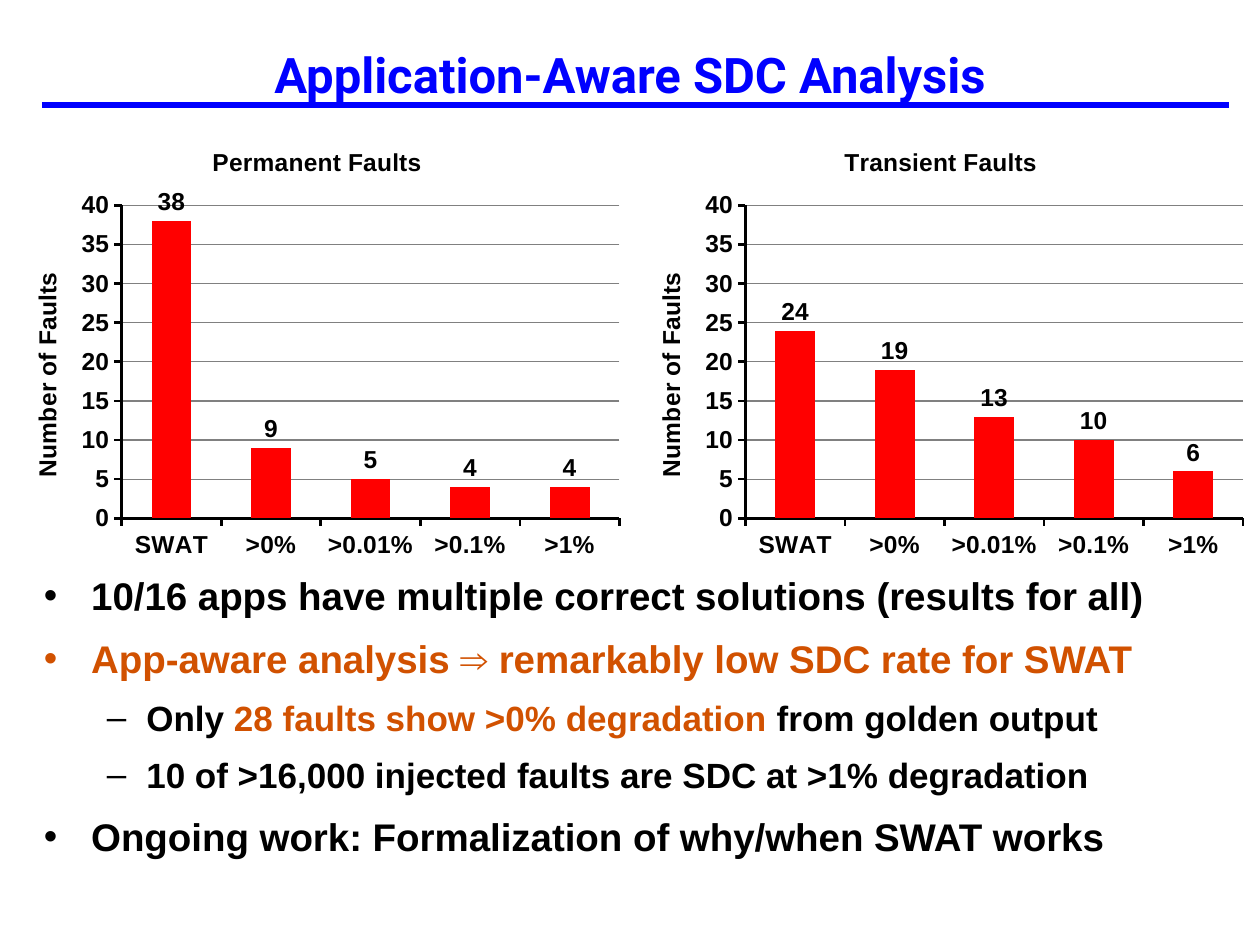
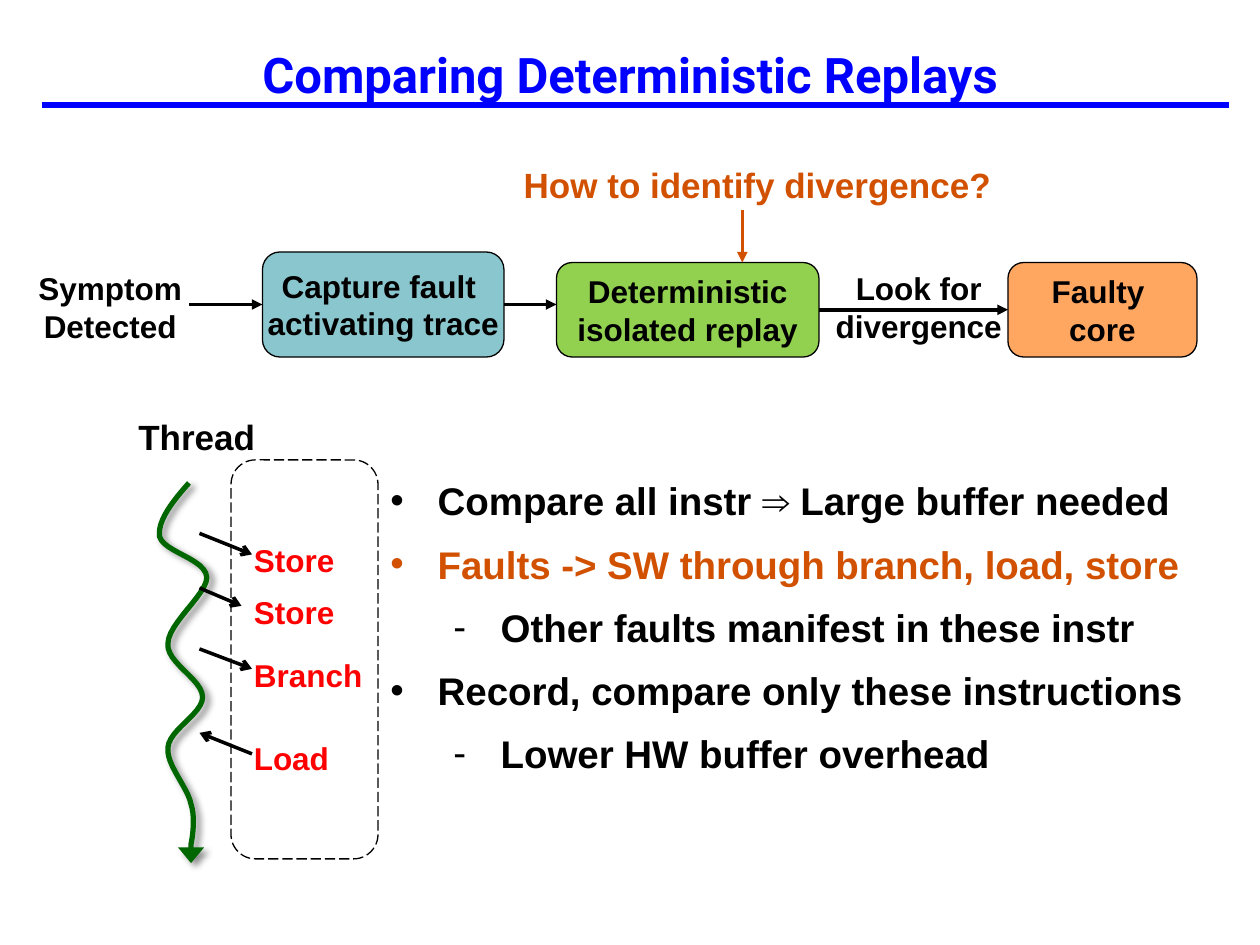
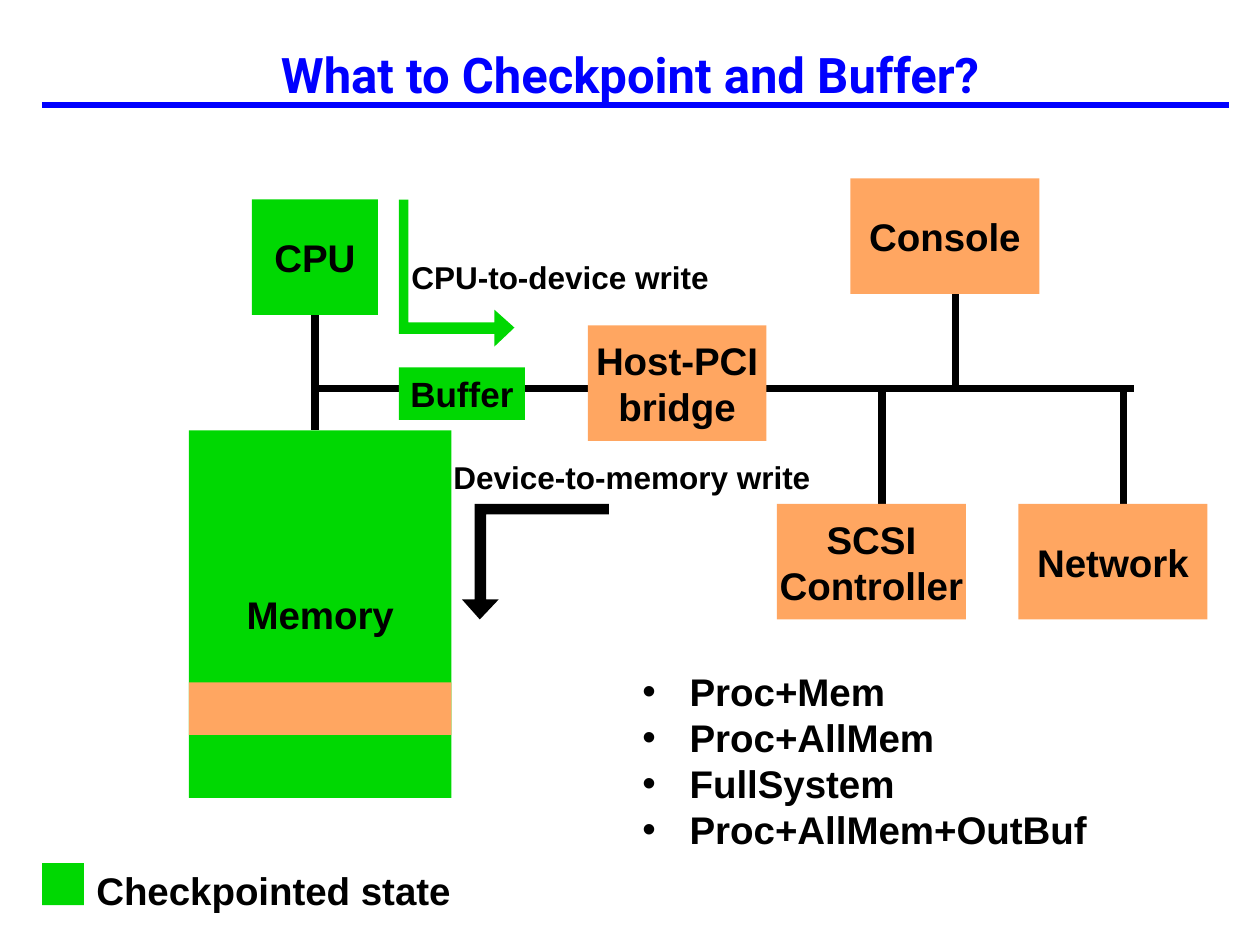
from dataclasses import dataclass

from lxml.etree import SubElement
from pptx import Presentation
from pptx.chart.data import CategoryChartData
from pptx.dml.color import RGBColor
from pptx.enum.chart import XL_CHART_TYPE, XL_LABEL_POSITION, XL_TICK_MARK
from pptx.enum.dml import MSO_LINE
from pptx.enum.shapes import MSO_CONNECTOR, MSO_SHAPE
from pptx.enum.text import MSO_ANCHOR, MSO_AUTO_SIZE, PP_ALIGN
from pptx.oxml import parse_xml
from pptx.oxml.ns import nsdecls, qn
from pptx.util import Inches, Pt


@dataclass(frozen=True)
class Theme:
    font: str = "Arial"
    title_font: str = "Roboto"
    black: str = "000000"
    blue: str = "0000FF"
    accent: str = "D15100"
    red: str = "FF0000"
    grid: str = "808080"
    teal: str = "8AC6CD"
    lime: str = "92D050"
    orange: str = "FFA661"
    green: str = "00D802"
    thread: str = "006600"
    title: int = 28
    body: int = 22
    sub: int = 20
    label: int = 18
    chart: int = 14


T = Theme()
COLUMNS, ROWS = 120, 90  # twelve cells to the inch
CELL = Inches(10) / COLUMNS

BULLET = ("•", 4.5, 4.5)
DASH = ("–", 9.75, 3.75)
HYPHEN = ("-", 10.5, 4.5)


def grid(*cells):
    return [round(c * CELL) for c in cells]


def set_attrs(obj, values):
    for name, value in values.items():
        setattr(obj, name, value)


def set_font(font, size, color=T.black, name=T.font):
    set_attrs(font, dict(size=Pt(size), name=name, bold=True))
    font.color.rgb = RGBColor.from_string(color)


def set_line(line, color, width):
    line.color.rgb = RGBColor.from_string(color)
    line.width = Pt(width)


def add_end(sp, kind, width="med"):
    SubElement(sp._element.spPr.find(qn("a:ln")), qn("a:tailEnd"), type=kind, w=width)


def set_bullet(p, bullet):
    char, left, hanging = bullet
    pPr = p._p.get_or_add_pPr()
    pPr.set("marL", str(grid(left)[0]))
    pPr.set("indent", str(-grid(hanging)[0]))
    SubElement(pPr, qn("a:buFont"), typeface=T.font)
    SubElement(pPr, qn("a:buChar"), char=char)


def add_runs(p, runs, size, color=T.black, name=T.font):
    """Fill a paragraph from a string or from (text, color) pairs."""
    for text, run_color in [(runs, color)] if isinstance(runs, str) else runs:
        r = p.add_run()
        r.text = text
        set_font(r.font, size, run_color, name)


def paragraphs(tf, count):
    return [tf.paragraphs[0]] + [tf.add_paragraph() for _ in range(count - 1)]


def add_label(s, box, lines, size, color=T.black, align=PP_ALIGN.LEFT, wrap=False):
    tf = s.shapes.add_textbox(*grid(*box)).text_frame
    set_attrs(tf, dict(word_wrap=wrap, auto_size=MSO_AUTO_SIZE.SHAPE_TO_FIT_TEXT))
    for p, line in zip(paragraphs(tf, len(lines)), lines):
        p.alignment = align
        add_runs(p, line, size, color)
    return tf


def add_bullets(s, box, items):
    """Add spaced bullets from (runs, bullet, size) items."""
    tf = s.shapes.add_textbox(*grid(*box)).text_frame
    tf.word_wrap = True
    for p, (runs, bullet, size) in zip(paragraphs(tf, len(items)), items):
        set_attrs(p, dict(line_spacing=1.2, space_before=Pt(size / 5)))
        set_bullet(p, bullet)
        add_runs(p, runs, size)


def add_box(s, box, fill=None, lines=(), size=T.body, kind=MSO_SHAPE.RECTANGLE, outline=None):
    sp = s.shapes.add_shape(kind, *grid(*box))
    sp.shadow.inherit = False
    if fill:
        sp.fill.solid()
        sp.fill.fore_color.rgb = RGBColor.from_string(fill)
    else:
        sp.fill.background()
    if outline:
        set_line(sp.line, outline, 0.75)
    else:
        sp.line.fill.background()
    tf = sp.text_frame
    set_attrs(tf, dict(word_wrap=False, vertical_anchor=MSO_ANCHOR.MIDDLE))
    if lines:
        for p, line in zip(paragraphs(tf, len(lines)), lines):
            p.alignment = PP_ALIGN.CENTER
            add_runs(p, line, size)
    return sp


def add_line(s, start, end, color=T.black, width=2.0, tail=None, begin=None, finish=None):
    """Draw a straight line; begin and finish are (shape, site) joints."""
    cxn = s.shapes.add_connector(MSO_CONNECTOR.STRAIGHT, *grid(*start, *end))
    set_line(cxn.line, color, width)
    SubElement(cxn._element.spPr, qn("a:effectLst"))
    if tail:
        add_end(cxn, tail)
    if begin:
        cxn.begin_connect(*begin)
    if finish:
        cxn.end_connect(*finish)


def add_outline(s, points, close):
    start, *rest = [grid(*pt) for pt in points]
    builder = s.shapes.build_freeform(*start)
    builder.add_line_segments(rest, close=close)
    sp = builder.convert_to_shape()
    sp.shadow.inherit = False
    return sp


def add_bent_arrow(s, points, color):
    sp = add_outline(s, points, True)
    sp.fill.solid()
    sp.fill.fore_color.rgb = RGBColor.from_string(color)
    sp.line.fill.background()


def curve_points(start, curves, steps=12):
    """Sample a chain of cubic curves, each (control, control, end)."""
    points = [start]
    for c1, c2, end in curves:
        first = points[-1]
        for i in range(1, steps + 1):
            t = i / steps
            u = 1 - t
            points.append([
                u**3 * a + 3 * u * u * t * b + 3 * u * t * t * c + t**3 * d
                for a, b, c, d in zip(first, c1, c2, end)
            ])
    return points


def add_thread(s):
    curves = [
        ((16.4, 47.8), (15, 49.6), (15.2, 51.1)),
        ((15.6, 52.6), (19.6, 53.2), (19.7, 55)),
        ((19.7, 56.6), (16, 59.4), (16, 61.3)),
        ((15.8, 63.1), (19.3, 64.7), (19.3, 66.4)),
        ((19.3, 68), (16.1, 69.5), (16, 71.2)),
        ((15.8, 72.8), (17.9, 75), (18.2, 76.6)),
        ((18.7, 78.1), (18.2, 80.4), (18.2, 80.4)),
    ]
    sp = add_outline(s, curve_points((18, 46), curves) + [(18.2, 82.2)], False)
    sp.fill.background()
    set_line(sp.line, T.thread, 3)
    add_end(sp, "triangle", "lg")
    effects = sp._element.spPr.find(qn("a:effectLst"))
    shadow = SubElement(effects, qn("a:outerShdw"), blurRad=str(Pt(4)),
                        dist=str(Pt(3)), dir="2700000", rotWithShape="0")
    color = SubElement(shadow, qn("a:srgbClr"), val=T.black)
    SubElement(color, qn("a:alpha"), val="43000")


def set_plot_area(chart, **shares):
    """Fix the inner plot area as shares of the chart's size."""
    plot_area = chart._chartSpace.chart.plotArea
    for old in plot_area.findall(qn("c:layout")):
        plot_area.remove(old)
    values = "".join(f'<c:{k} val="{v}"/>' for k, v in shares.items())
    plot_area.insert(0, parse_xml(
        f'<c:layout {nsdecls("c")}><c:manualLayout><c:layoutTarget val="inner"/>'
        f'<c:xMode val="edge"/><c:yMode val="edge"/>{values}</c:manualLayout></c:layout>'))


def add_fault_chart(s, left, title, values):
    data = CategoryChartData()
    data.categories = ["SWAT", ">0%", ">0.01%", ">0.1%", ">1%"]
    data.add_series("Series 1", values)
    chart = s.shapes.add_chart(
        XL_CHART_TYPE.COLUMN_CLUSTERED, *grid(left, 12, 60, 42), data).chart
    chart.has_legend = False
    set_font(chart.font, T.chart)
    axis, cats = chart.value_axis, chart.category_axis
    for tf, text in ((chart.chart_title.text_frame, title),
                     (axis.axis_title.text_frame, "Number of Faults")):
        add_runs(tf.paragraphs[0], text, T.chart)
    chart.chart_title.include_in_layout = False
    set_attrs(axis, dict(minimum_scale=0, maximum_scale=40, major_unit=5,
                         has_major_gridlines=True))
    set_line(axis.major_gridlines.format.line, T.grid, 0.75)
    for ax in (axis, cats):
        ax.major_tick_mark = XL_TICK_MARK.OUTSIDE
        set_line(ax.format.line, T.black, 1.5)
    plot = chart.plots[0]
    set_attrs(plot, dict(gap_width=150, vary_by_categories=False, has_data_labels=True))
    set_attrs(plot.data_labels, dict(show_value=True, position=XL_LABEL_POSITION.OUTSIDE_END))
    set_font(plot.data_labels.font, T.chart)
    fill = plot.series[0].format.fill
    fill.solid()
    fill.fore_color.rgb = RGBColor.from_string(T.red)
    set_plot_area(chart, x=0.19, y=0.18, w=0.79, h=0.71)


def new_slide(prs, title):
    s = prs.slides.add_slide(prs.slide_layouts[6])
    add_line(s, (4, 10), (117, 10), T.blue, 3)
    tf = s.shapes.add_textbox(*grid(0, 2, COLUMNS, 10)).text_frame
    set_attrs(tf, dict(word_wrap=True, vertical_anchor=MSO_ANCHOR.MIDDLE))
    p = tf.paragraphs[0]
    p.alignment = PP_ALIGN.CENTER
    add_runs(p, title, T.title, T.blue, T.title_font)
    return s


def sdc_slide(prs):
    s = new_slide(prs, "Application-Aware SDC Analysis")
    add_bullets(s, (3, 53, 116, 35), [
        ("10/16 apps have multiple correct solutions (results for all)", BULLET, T.body),
        ([("App-aware analysis ⇒ remarkably low SDC rate for SWAT", T.accent)], BULLET, T.body),
        ([("Only ", T.black), ("28 faults show >0% degradation ", T.accent),
          ("from golden output", T.black)], DASH, T.sub),
        ("10 of >16,000 injected faults are SDC at >1% degradation", DASH, T.sub),
        ("Ongoing work: Formalization of why/when SWAT works", BULLET, T.body),
    ])
    add_fault_chart(s, 0.2, "Permanent Faults", (38, 9, 5, 4, 4))
    add_fault_chart(s, 59.6, "Transient Faults", (24, 19, 13, 10, 6))


def replay_slide(prs):
    s = new_slide(prs, "Comparing Deterministic Replays")
    add_bullets(s, (36, 44, 82, 40), [
        ("Compare all instr ⇒ Large buffer needed", BULLET, T.body),
        ([("Faults -> SW through branch, load, store", T.accent)], BULLET, T.body),
        ("Other faults manifest in these instr", HYPHEN, T.body),
        ("Record, compare only these instructions", BULLET, T.body),
        ("Lower HW buffer overhead", HYPHEN, T.body),
    ])
    capture, replay, core = [
        add_box(s, box, fill, lines, T.label, MSO_SHAPE.FLOWCHART_ALTERNATE_PROCESS, T.black)
        for box, fill, lines in (
            ((25, 24, 23, 10), T.teal, ("Capture fault ", "activating trace")),
            ((53, 25, 25, 9), T.lime, ("Deterministic", "isolated replay")),
            ((96, 25, 18, 9), T.orange, ("Faulty ", "core")),
        )
    ]
    add_line(s, (18, 29), (25, 29), tail="triangle", finish=(capture, 1))
    add_line(s, (48, 29), (53, 29), tail="triangle", begin=(capture, 3))
    add_line(s, (78, 29.5), (96, 29.5), tail="triangle", begin=(replay, 3), finish=(core, 1))
    for left, lines in ((77, ["Look for divergence"]), (0, ["Symptom", "Detected"])):
        add_label(s, (left, 25, 21, 8.5), lines, T.label, align=PP_ALIGN.CENTER, wrap=True)

    add_thread(s)
    add_label(s, (12, 39, 13.7, 5.3), ["Thread"], T.sub)
    for start, end in (((19, 50.8), (24, 52.8)), ((19, 56), (23, 57.7)),
                       ((19, 61.8), (24, 63.7)), ((24, 71.8), (19, 69.8))):
        add_line(s, start, end, tail="arrow")
    frame = add_box(s, (22, 43.8, 14, 38), kind=MSO_SHAPE.ROUNDED_RECTANGLE, outline=T.black)
    frame.line.dash_style = MSO_LINE.LONG_DASH
    for word, top, width in (("Store", 50.9, 10.2), ("Store", 55.9, 10.2),
                             ("Branch", 61.9, 12.8), ("Load", 69.8, 9.6)):
        add_label(s, (23, top, width, 4.8), [word], T.label, T.red)

    add_label(s, (48.7, 15, 47.3, 5.3), ["How to identify divergence?"], T.sub, T.accent)
    add_line(s, (70.7, 20), (70.7, 25), T.accent, tail="triangle")


def checkpoint_slide(prs):
    s = new_slide(prs, "What to Checkpoint and Buffer?")
    cpu = add_box(s, (24, 19, 12, 11), T.green, ["CPU"])
    add_line(s, (30, 30), (30, 41), width=4.5, begin=(cpu, 2))
    for start, end in (((30, 37), (56, 37)), ((72, 37), (108, 37)), ((84, 37), (84, 48)),
                       ((91, 26), (91, 37)), ((107, 37), (107, 48))):
        add_line(s, start, end, width=4.5)
    add_box(s, (18, 41, 25, 35), T.green, ["Memory"])
    add_box(s, (18, 65, 25, 5), T.orange)
    add_box(s, (38, 35, 12, 5), T.green, ["Buffer"], T.sub)
    for left, top, width, lines in ((74, 48, 18, ["SCSI", "Controller"]),
                                    (56, 31, 17, ["Host-PCI", "bridge"]),
                                    (81, 17, 18, ["Console"]),
                                    (97, 48, 18, ["Network"])):
        add_box(s, (left, top, width, 11), T.orange, lines)

    add_bent_arrow(s, [(45.7, 59), (47.5, 57.1), (46.3, 57.1), (46.3, 49), (58, 49),
                       (58, 48), (45.2, 48), (45.2, 57.1), (44, 57.1)], T.black)
    add_bent_arrow(s, [(49, 31.2), (47.1, 29.5), (47.1, 30.7), (38.9, 30.7), (38.9, 19),
                       (38, 19), (38, 31.8), (47.1, 31.8), (47.1, 33)], T.green)
    add_label(s, (42, 43, 39, 4.8), ["Device-to-memory write"], T.label, wrap=True)
    add_label(s, (38, 24, 32, 4.8), ["CPU-to-device write"], T.label, wrap=True)

    options = ["Proc+Mem", "Proc+AllMem", "FullSystem", "Proc+AllMem+OutBuf"]
    for p in add_label(s, (60, 63, 47, 19), options, T.body).paragraphs:
        set_bullet(p, BULLET)
    add_box(s, (4, 82.2, 4, 4), T.green)
    add_label(s, (8, 82, 36.7, 5.6), ["Checkpointed state"], T.body)


def main():
    prs = Presentation()
    prs.slide_width, prs.slide_height = grid(COLUMNS, ROWS)
    for build in (sdc_slide, replay_slide, checkpoint_slide):
        build(prs)
    prs.save("out.pptx")


if __name__ == "__main__":
    main()
